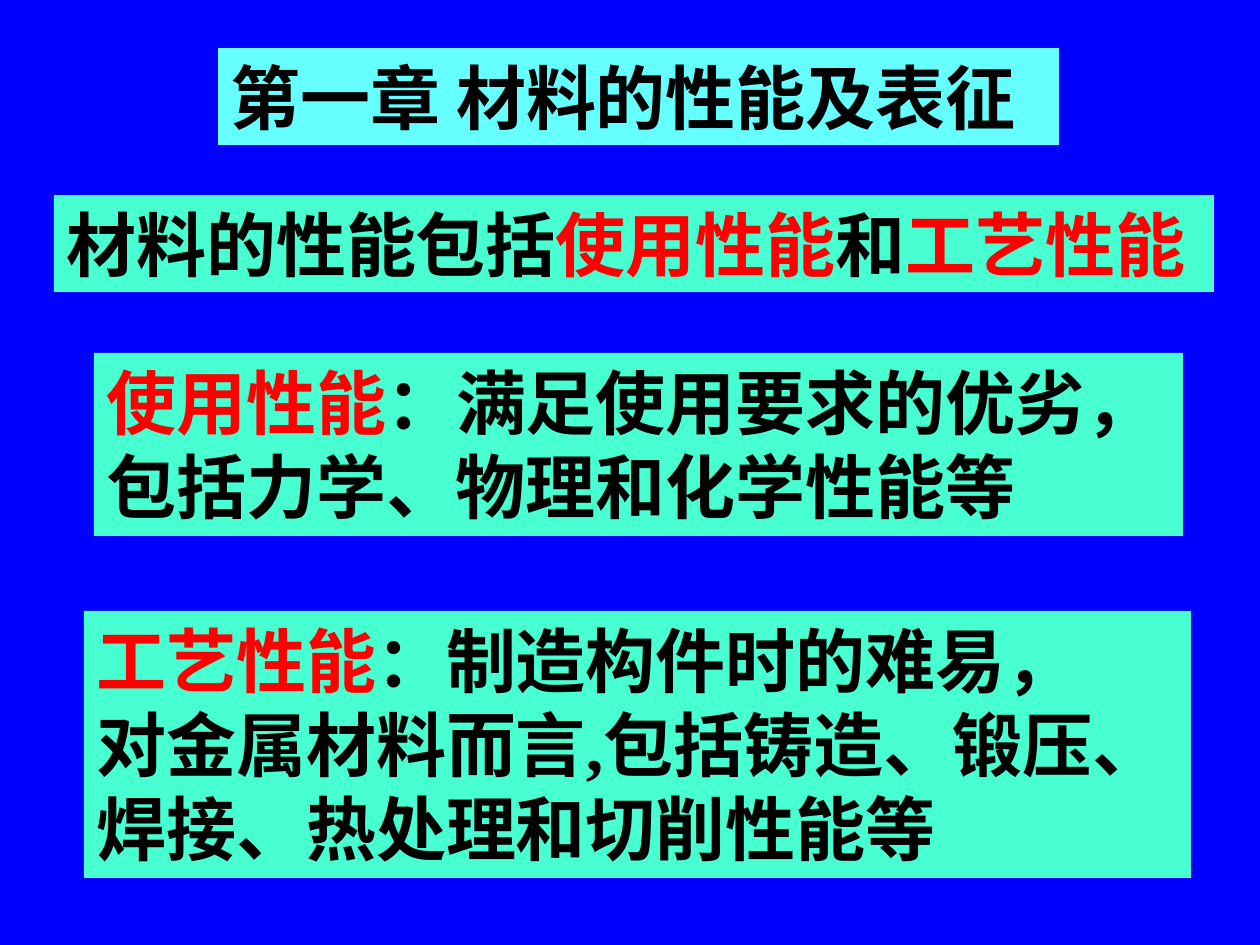
import pptx
import pptx.dml.color
import pptx.enum.lang
import pptx.enum.shapes
import pptx.enum.text
import pptx.util

EMU_PER_PX = 914400 // 126
BLACK, RED = "000000", "FF0000"
AQUA, MINT, BLUE = "66FFFF", "47FFD1", "0000FF"


def rgb(value):
    return pptx.dml.color.RGBColor.from_string(value)


def px(length):
    return pptx.util.Emu(length * EMU_PER_PX)


class Deck:
    font_size = 40
    body_font = "Times New Roman"
    title_font = "Noto Sans CJK SC"

    def __init__(self, width, height):
        self.presentation = pptx.Presentation()
        self.presentation.slide_width = px(width)
        self.presentation.slide_height = px(height)
        self.slide = self.presentation.slides.add_slide(self.presentation.slide_layouts[6])

    def background(self, color):
        fill = self.slide.background.fill
        fill.solid()
        fill.fore_color.rgb = rgb(color)

    def panel(self, left, top, width, height, color, lines, font=body_font):
        panel = self.slide.shapes.add_shape(
            pptx.enum.shapes.MSO_SHAPE.RECTANGLE, px(left), px(top), px(width), px(height))
        panel.shadow.inherit = False
        panel.fill.solid()
        panel.fill.fore_color.rgb = rgb(color)
        panel.line.fill.background()
        frame = panel.text_frame
        frame.word_wrap = False
        frame.auto_size = pptx.enum.text.MSO_AUTO_SIZE.SHAPE_TO_FIT_TEXT
        frame.vertical_anchor = pptx.enum.text.MSO_ANCHOR.TOP
        for index, line in enumerate(lines):
            paragraph = frame.add_paragraph() if index else frame.paragraphs[0]
            paragraph.alignment = pptx.enum.text.PP_ALIGN.LEFT
            for text, text_color in line:
                self.run(paragraph, text, text_color, font)

    def run(self, paragraph, text, color, font):
        run = paragraph.add_run()
        run.text = text
        run.font.name = font
        run.font.size = pptx.util.Pt(self.font_size)
        run.font.bold = True
        run.font.color.rgb = rgb(color)
        run.font.language_id = pptx.enum.lang.MSO_LANGUAGE_ID.SIMPLIFIED_CHINESE


def main():
    deck = Deck(1260, 945)
    deck.background(BLUE)
    deck.panel(54, 195, 1160, 97, MINT, [
        [("材料的性能包括", BLACK), ("使用性能", RED), ("和", BLACK), ("工艺性能", RED)],
    ])
    deck.panel(94, 353, 1089, 183, MINT, [
        [("使用性能", RED), ("：满足使用要求的优劣，", BLACK)],
        [("包括力学、物理和化学性能等", BLACK)],
    ])
    deck.panel(84, 611, 1107, 267, MINT, [
        [("工艺性能", RED), ("：制造构件时的难易，", BLACK)],
        [("对金属材料而言,包括铸造、锻压、", BLACK)],
        [("焊接、热处理和切削性能等", BLACK)],
    ])
    deck.panel(218, 48, 841, 97, AQUA, [
        [("第一章 材料的性能及表征", BLACK)],
    ], font=deck.title_font)
    deck.presentation.save("out.pptx")


if __name__ == "__main__":
    main()
